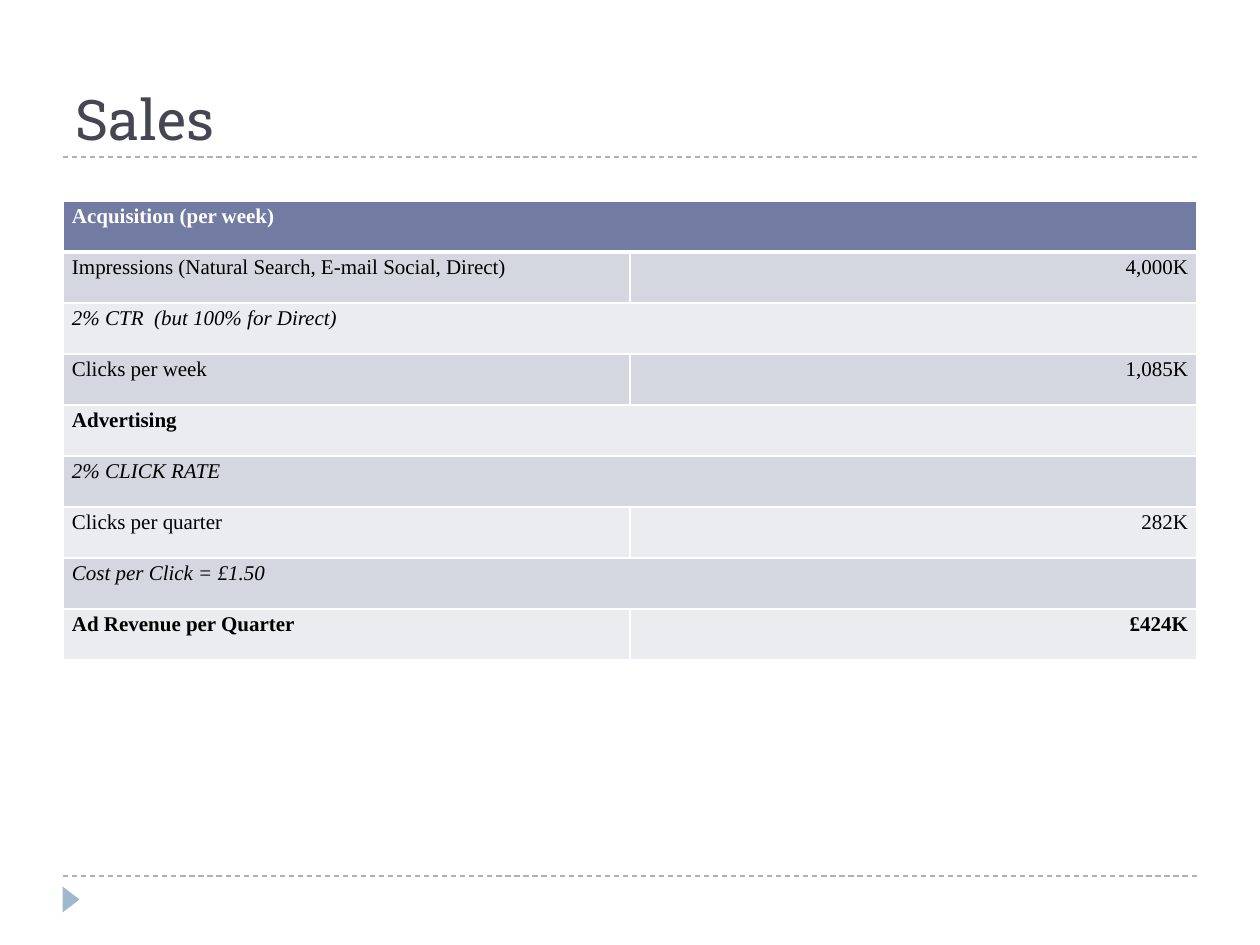
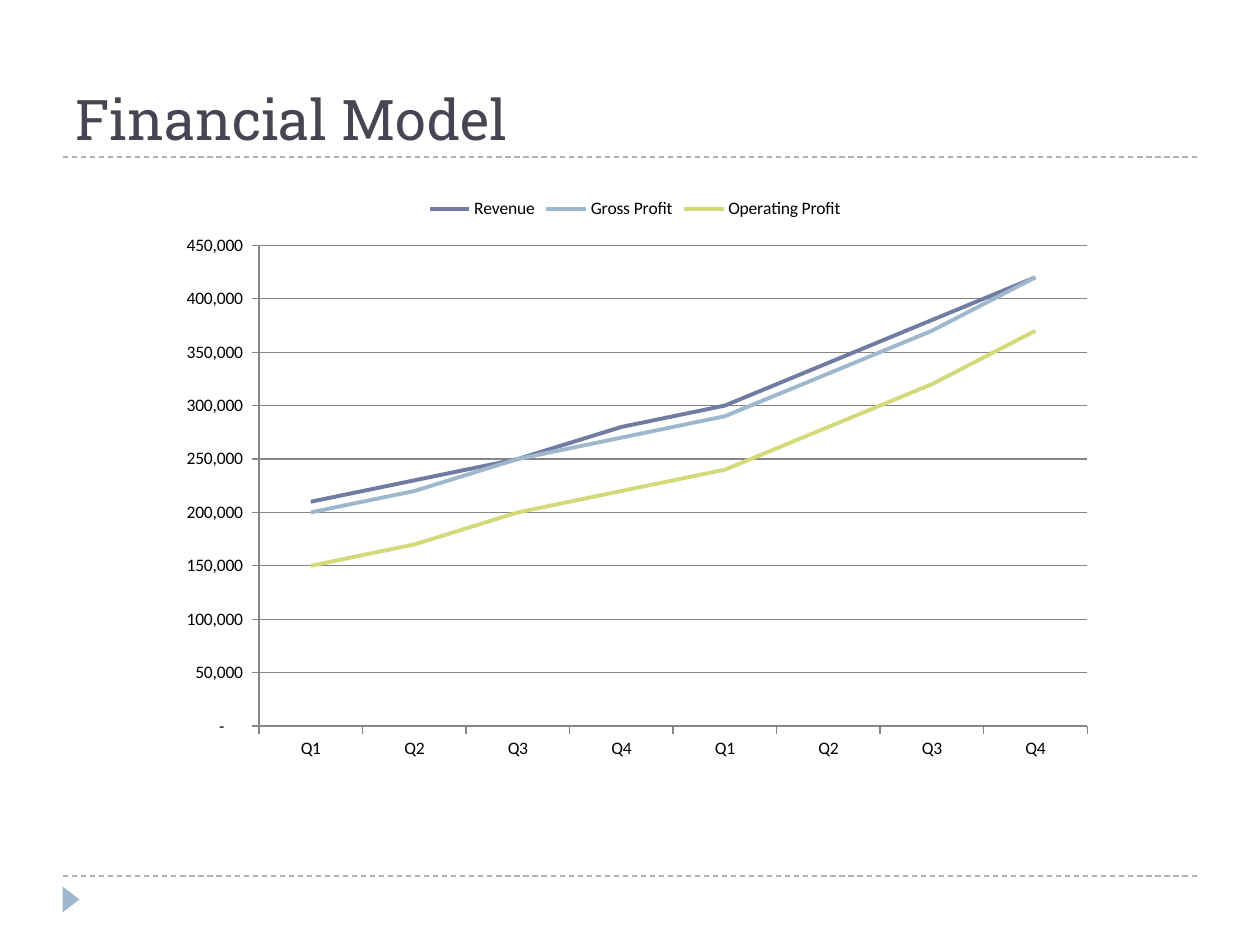
from lxml import etree
from pptx import Presentation
from pptx import util as u
from pptx.chart.data import CategoryChartData
from pptx.dml.color import RGBColor
from pptx.enum import chart as ch, dml, shapes, text
from pptx.oxml import ns

SCALE = 914400 / 126
WIDTH, HEIGHT = 1260, 945
LEFT, SPAN = 63, 1134

WHITE = RGBColor(0xFF, 0xFF, 0xFF)
BLACK = RGBColor(0, 0, 0)
SLATE = RGBColor(0x46, 0x46, 0x53)
NAVY = RGBColor(0x72, 0x7C, 0xA3)
SKY = RGBColor(0x9F, 0xB8, 0xCD)
LIME = RGBColor(0xD2, 0xDA, 0x7A)
GREY = RGBColor(0x86, 0x86, 0x86)
SILVER = RGBColor(0xB0, 0xB0, 0xB0)
BANDS = RGBColor(0xEB, 0xEC, 0xF0), RGBColor(0xD5, 0xD7, 0xE0)

# Label, value (None spans the row), bold, italic
SALES = [
    ("Acquisition (per week)", None, True, False),
    ("Impressions (Natural Search, E-mail Social, Direct)", "4,000K", False, False),
    ("2% CTR  (but 100% for Direct)", None, False, True),
    ("Clicks per week", "1,085K", False, False),
    ("Advertising", None, True, False),
    ("2% CLICK RATE", None, False, True),
    ("Clicks per quarter", "282K", False, False),
    ("Cost per Click = £1.50", None, False, True),
    ("Ad Revenue per Quarter", "£424K", True, False),
]
QUARTERS = ["Q1", "Q2", "Q3", "Q4"] * 2
# Name, colour, values in tens of thousands
SERIES = [
    ("Revenue", NAVY, (21, 23, 25, 28, 30, 34, 38, 42)),
    ("Gross Profit", SKY, (20, 22, 25, 27, 29, 33, 37, 42)),
    ("Operating Profit", LIME, (15, 17, 20, 22, 24, 28, 32, 37)),
]
MONEY = r'_-* #,##0_-;\-* #,##0_-;_-* "-"??_-;_-@_-'


def px(*sizes):
    return [u.Emu(round(size * SCALE)) for size in sizes]


def write(frame, words, font="Times New Roman", size=12, color=BLACK, bold=False,
          italic=False, align=text.PP_ALIGN.LEFT, gap=1.0):
    para = frame.paragraphs[0]
    para.alignment, para.line_spacing = align, gap
    run = para.add_run()
    run.text = words
    face = run.font
    face.name, face.size, face.bold, face.italic = font, u.Pt(size), bold, italic
    face.color.rgb = color


def border(cell, **widths):
    """Draw white cell edges; widths are in points, keyed L, R, T and B."""
    props = cell._tc.get_or_add_tcPr()
    for side, width in widths.items():
        edge = etree.SubElement(props, ns.qn("a:ln" + side), w=str(u.Pt(width)))
        fill = etree.SubElement(edge, ns.qn("a:solidFill"))
        etree.SubElement(fill, ns.qn("a:srgbClr"), val=str(WHITE))


class Deck:
    def __init__(self):
        self.show = Presentation()
        self.show.slide_width, self.show.slide_height = px(WIDTH, HEIGHT)
        self.slide = None

    def start(self, title):
        """Add a slide with the shared rules, corner mark and title."""
        self.slide = self.show.slides.add_slide(self.show.slide_layouts[6])
        for top in (876, 157):
            self.rule(top)
        self.mark()
        self.title(title)

    def rule(self, top):
        line = self.slide.shapes.add_connector(
            shapes.MSO_CONNECTOR.STRAIGHT, *px(LEFT, top, LEFT + SPAN, top))
        line.line.color.rgb = SILVER
        line.line.width = u.Pt(0.75)
        line.line.dash_style = dml.MSO_LINE.DASH
        etree.SubElement(line._element.spPr, ns.qn("a:effectLst"))

    def mark(self):
        mark = self.slide.shapes.add_shape(
            shapes.MSO_SHAPE.ISOSCELES_TRIANGLE, *px(58, 891, 26, 17))
        mark.rotation = 90
        mark.shadow.inherit = False
        mark.fill.solid()
        mark.fill.fore_color.rgb = SKY
        mark.line.fill.background()

    def title(self, words):
        frame = self.slide.shapes.add_textbox(*px(LEFT, 22, SPAN, 136)).text_frame
        frame.word_wrap = True
        frame.vertical_anchor = text.MSO_ANCHOR.BOTTOM
        write(frame, words, font="Roboto Slab", size=32, color=SLATE)

    def table(self, rows, top, step):
        grid = self.slide.shapes.add_table(
            len(rows), 2, *px(LEFT, top, SPAN, step * len(rows))).table
        for r, (label, value, bold, italic) in enumerate(rows):
            head = r == 0
            for c, words in enumerate((label, value)):
                cell = grid.cell(r, c)
                cell.margin_left, cell.margin_right = px(9, 9)
                cell.margin_top = cell.margin_bottom = 0
                border(cell, L=1, R=1, T=3 if r == 1 else 1, B=3 if head else 1)
                cell.fill.solid()
                cell.fill.fore_color.rgb = NAVY if head else BANDS[r % 2]
                if words:
                    write(cell.text_frame, words, bold=bold, italic=italic, gap=1.15,
                          color=WHITE if head else BLACK,
                          align=text.PP_ALIGN.RIGHT if c else text.PP_ALIGN.LEFT)
            if value is None:
                grid.cell(r, 0).merge(grid.cell(r, 1))

    def chart(self, cats, series, box):
        data = CategoryChartData()
        data.categories = cats
        for name, _, vals in series:
            data.add_series(name, [val * 10000 for val in vals])
        chart = self.slide.shapes.add_chart(
            ch.XL_CHART_TYPE.LINE, *px(*box), data).chart
        chart.has_title = False
        chart.font.name, chart.font.size = "Calibri", u.Pt(10)
        chart.font.color.rgb = BLACK
        chart.has_legend = True
        chart.legend.position = ch.XL_LEGEND_POSITION.TOP
        chart.legend.include_in_layout = False
        plot = chart.plots[0]
        plot.vary_by_categories = False
        for item, (_, color, _) in zip(plot.series, series):
            item.smooth = False
            item.format.line.color.rgb = color
            item.format.line.width = u.Pt(2.25)
        values = chart.value_axis
        values.has_major_gridlines = True
        values.minimum_scale, values.maximum_scale = 0, 450000
        values.major_unit = 50000
        values.tick_labels.number_format = MONEY
        values.tick_labels.number_format_is_linked = False
        for axis in (chart.category_axis, values):
            axis.major_tick_mark = ch.XL_TICK_MARK.OUTSIDE
        for part in (chart.category_axis, values, values.major_gridlines):
            part.format.line.color.rgb = GREY
            part.format.line.width = u.Pt(0.75)


def main():
    deck = Deck()
    deck.start("Sales")
    deck.table(SALES, top=201, step=51)
    deck.start("Financial Model")
    deck.chart(QUARTERS, SERIES, box=(164, 185, 942, 585))
    deck.show.save("out.pptx")


if __name__ == "__main__":
    main()
